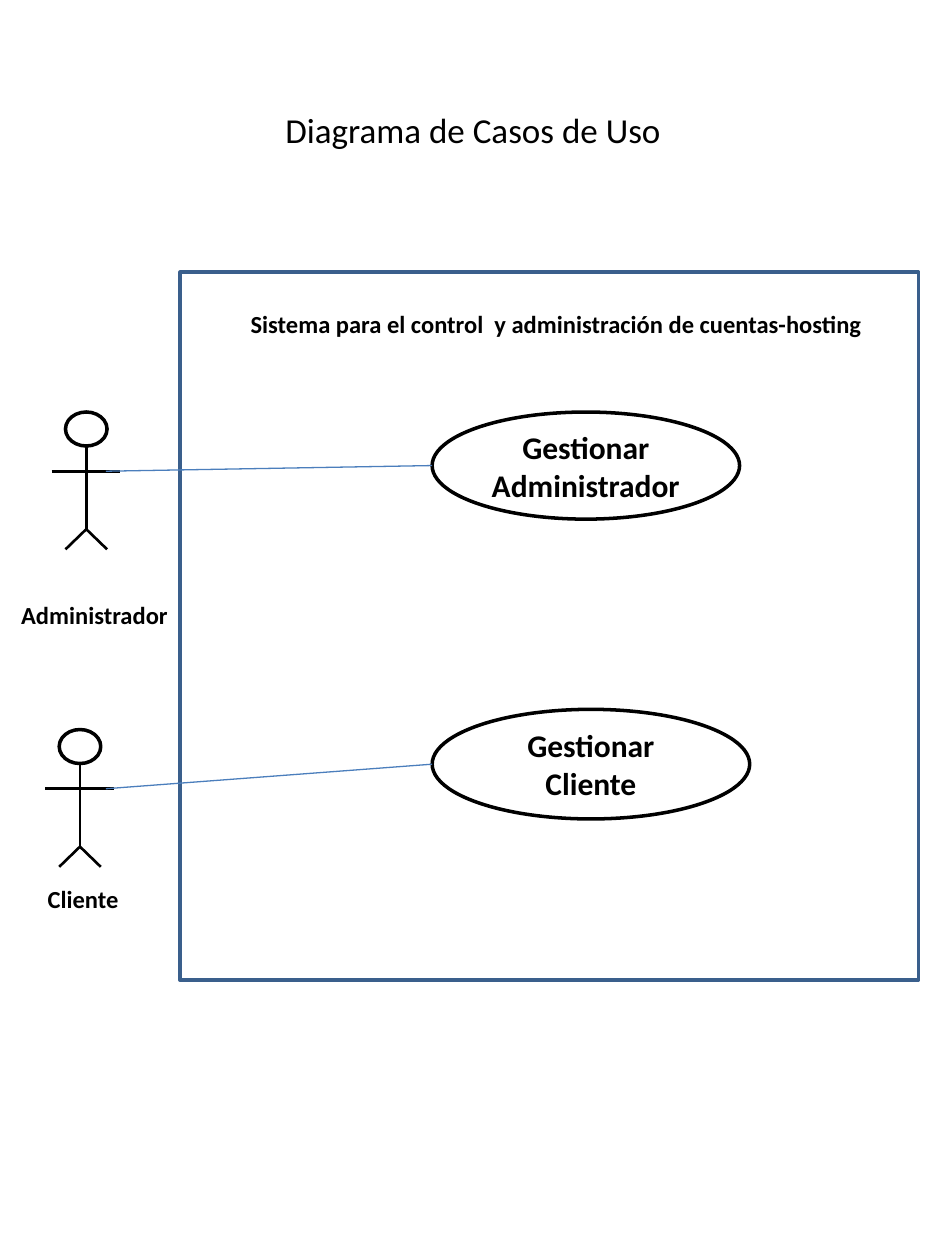
from pptx import Presentation
from pptx.dml.color import RGBColor
from pptx.enum.shapes import MSO_CONNECTOR, MSO_SHAPE
from pptx.enum.text import MSO_ANCHOR, PP_ALIGN
from pptx.util import Inches, Pt
from lxml import etree

LINE = MSO_CONNECTOR.STRAIGHT
OVAL, RECT = MSO_SHAPE.OVAL, MSO_SHAPE.RECTANGLE
MID, TOP = MSO_ANCHOR.MIDDLE, MSO_ANCHOR.TOP
MAIN = "http://schemas.openxmlformats.org/drawingml/2006/main"

BLACK, WHITE, NAVY, BLUE = "000000", "FFFFFF", "3A5F8C", "4B7EBC"
TITLE = ("Diagrama de Casos de Uso", (1.43, 0.67, 4.65, 0.71))
FRAME = (1.43, 2.16, 5.86, 5.62)
SYSTEM = ("Sistema para el control  y administración de cuentas-hosting",
          (1.86, 2.4, 5.11, 0.34))
ACTORS = [
    ("Administrador", (0.52, 3.27), (-0.03, 4.71, 1.56, 0.34)),
    ("Cliente", (0.47, 5.79), (-0.12, 6.97, 1.56, 0.34)),
]
CASES = [
    ("Gestionar Administrador", (3.43, 3.27, 2.44, 0.85)),
    ("Gestionar Cliente", (3.43, 5.63, 2.52, 0.87)),
]
LINKS = [(0.84, 3.74), (0.84, 6.26)]
HEAD = (0.33, 0.27)
LIMBS = [
    ((0.165, 0.27), (0.165, 0.93)),
    ((0.165, 0.93), (0, 1.09)),
    ((0.165, 0.93), (0.33, 1.09)),
    ((-0.11, 0.47), (0.435, 0.47)),
]


def paint(hue):
    """Turn a hex string into a colour."""
    return RGBColor.from_string(hue)


def write(shape, text, size, bold=True, anchor=TOP, wrap=True):
    """Put centred text into a shape."""
    frame = shape.text_frame
    for key, val in {"word_wrap": wrap, "vertical_anchor": anchor}.items():
        setattr(frame, key, val)
    para = frame.paragraphs[0]
    para.alignment = PP_ALIGN.CENTER
    run = para.add_run()
    run.text = text
    look = {"name": "Calibri", "size": Pt(size), "bold": bold}
    for key, val in look.items():
        setattr(run.font, key, val)
    run.font.color.rgb = paint(BLACK)


def label(shapes, text, box, wrap=True):
    """Add a bold caption."""
    write(shapes.add_textbox(*map(Inches, box)), text, 14, wrap=wrap)


def form(shapes, kind, box, hue, fill=None):
    """Add an outlined shape, filled or hollow."""
    shape = shapes.add_shape(kind, *map(Inches, box))
    shape.shadow.inherit = False
    if fill:
        shape.fill.solid()
        shape.fill.fore_color.rgb = paint(fill)
    else:
        shape.fill.background()
    shape.line.color.rgb = paint(hue)
    shape.line.width = Pt(2)
    return shape


def stroke(shapes, start, end, hue, width):
    """Add a straight line without a shadow."""
    line = shapes.add_connector(LINE, *map(Inches, start + end))
    line.line.color.rgb = paint(hue)
    line.line.width = Pt(width)
    etree.SubElement(line._element.spPr, f"{{{MAIN}}}effectLst")


def actor(shapes, spot):
    """Draw a grouped stick figure whose head starts at a spot."""
    group = shapes.add_group_shape().shapes
    form(group, OVAL, spot + HEAD, BLACK, WHITE)
    for limb in LIMBS:
        start, end = [(spot[0] + x, spot[1] + y) for x, y in limb]
        stroke(group, start, end, BLACK, 1.5)


def main():
    """Build the use case slide."""
    deck = Presentation()
    deck.slide_width, deck.slide_height = Inches(7.5), Inches(10)
    slide = deck.slides.add_slide(deck.slide_layouts[5])
    shapes = slide.shapes

    text, box = TITLE
    title = shapes.title
    for key, val in zip(("left", "top", "width", "height"), box):
        setattr(title, key, Inches(val))
    write(title, text, 20, False, MID)

    form(shapes, RECT, FRAME, NAVY)
    label(shapes, *SYSTEM, wrap=False)
    for name, spot, box in ACTORS:
        actor(shapes, spot)
        label(shapes, name, box)
    for (name, box), start in zip(CASES, LINKS):
        write(form(shapes, OVAL, box, BLACK, WHITE), name, 18, anchor=MID)
        stroke(shapes, start, (box[0], box[1] + box[3] / 2), BLUE, 0.75)

    deck.save("out.pptx")


if __name__ == "__main__":
    main()
